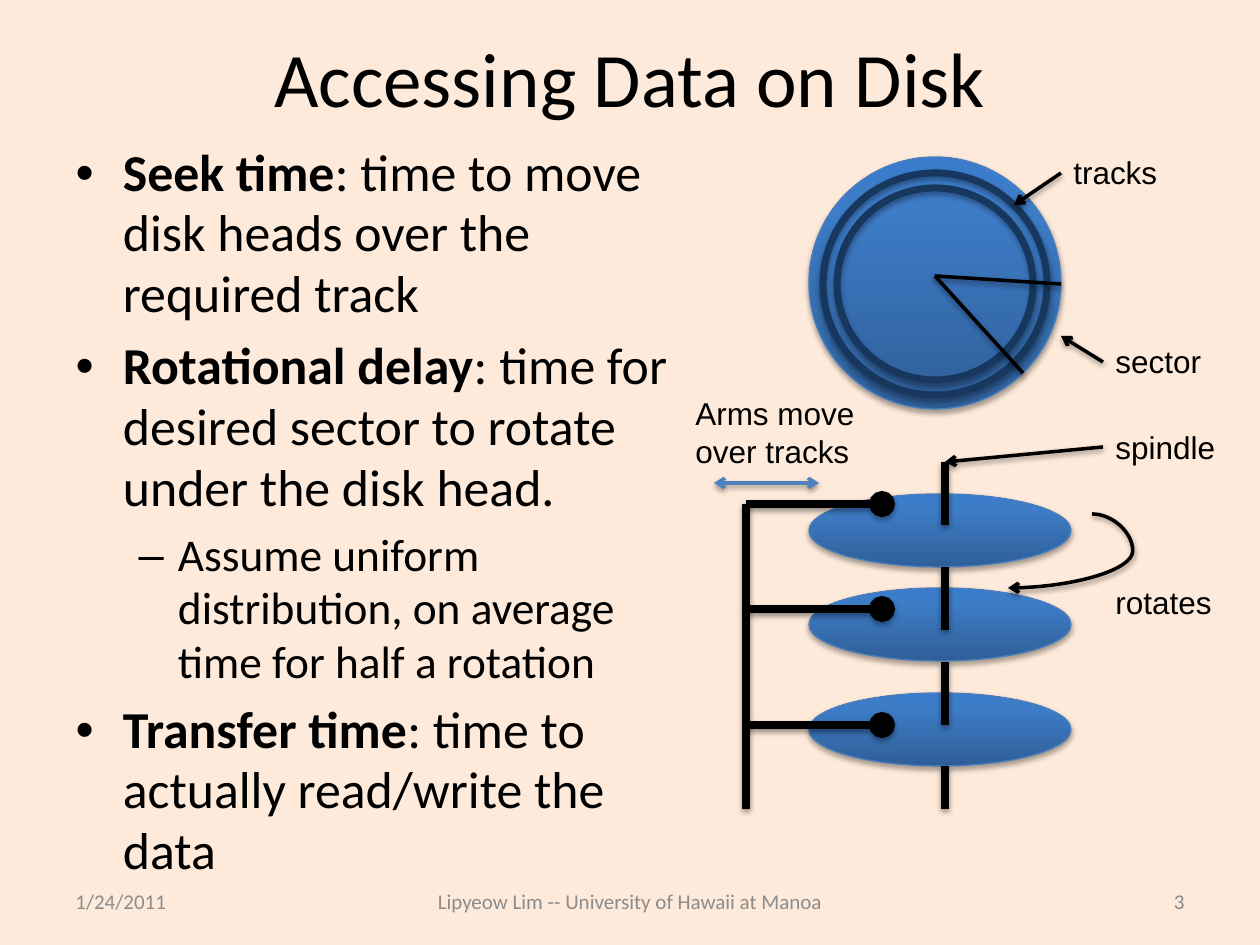
from lxml import etree
from pptx import Presentation
from pptx.dml.color import RGBColor
from pptx.enum.shapes import MSO_CONNECTOR, MSO_SHAPE
from pptx.enum.text import MSO_ANCHOR, MSO_AUTO_SIZE, PP_ALIGN
from pptx.oxml import parse_xml
from pptx.oxml.ns import nsdecls, qn
from pptx.util import Pt

STRAIGHT, CURVE = MSO_CONNECTOR.STRAIGHT, MSO_CONNECTOR.CURVE
OVAL = MSO_SHAPE.OVAL
LEFT, CENTER, RIGHT = PP_ALIGN.LEFT, PP_ALIGN.CENTER, PP_ALIGN.RIGHT
TOP, MIDDLE = MSO_ANCHOR.TOP, MSO_ANCHOR.MIDDLE
NO_FIT = MSO_AUTO_SIZE.NONE

PX_PER_INCH = 126
COLORS = {
    "page": "FDEADA", "ink": "000000", "footer": "8C8C8C", "number": "898989",
    "disk_dark": "2F5F99", "disk_mid": "3D7CC7", "disk_light": "3A7CCB",
    "rim": "4B7EBC", "track": "17375E", "motion": "4F81BD",
}
BODY = [  # level, bold lead, rest
    (0, "Seek time", ": time to move disk heads over the required track"),
    (0, "Rotational delay", ": time for desired sector to rotate under the disk head."),
    (1, "", "Assume uniform distribution, on average time for half a rotation"),
    (0, "Transfer time", ": time to actually read/write the data"),
]
BODY_SIZES = (29.6, 25.9)


def px(*lengths):
    return [round(length * 914400 / PX_PER_INCH) for length in lengths]


def rgb(name):
    return RGBColor.from_string(COLORS[name])


def format_font(font, name, size, color="ink", bold=False):
    for key, value in {"name": name, "size": Pt(size), "bold": bold}.items():
        setattr(font, key, value)
    font.color.rgb = rgb(color)


def place(shape, *box):
    for key, value in zip(("left", "top", "width", "height"), px(*box)):
        setattr(shape, key, value)


def add_shadow(shape, distance, opacity):
    shape._element.spPr.append(parse_xml(
        f'<a:effectLst {nsdecls("a")}><a:outerShdw blurRad="40000" dist="{distance}" '
        f'dir="5400000" rotWithShape="0"><a:srgbClr val="{COLORS["ink"]}">'
        f'<a:alpha val="{opacity * 1000}"/></a:srgbClr></a:outerShdw></a:effectLst>'))


def add_ring(page, box, color="track", width=4):
    ring = page.shapes.add_shape(OVAL, *px(*box))
    ring.fill.background()
    ring.line.color.rgb = rgb(color)
    ring.line.width = Pt(width)
    add_shadow(ring, 23000, 35)
    return ring


def add_disk(page, box):
    properties = add_ring(page, box, "rim", 0.75)._element.spPr
    stops = "".join(
        f'<a:gs pos="{position * 1000}"><a:srgbClr val="{COLORS[name]}"/></a:gs>'
        for position, name in ((0, "disk_dark"), (80, "disk_mid"), (100, "disk_light")))
    properties.replace(properties.find(qn("a:noFill")), parse_xml(
        f'<a:gradFill {nsdecls("a")} rotWithShape="1"><a:gsLst>{stops}</a:gsLst>'
        '<a:lin ang="16200000" scaled="0"/></a:gradFill>'))


def add_line(page, ends, width=2, color="ink", head=None, tail=None, kind=STRAIGHT):
    line = page.shapes.add_connector(kind, *px(*ends))
    line.line.color.rgb = rgb(color)
    line.line.width = Pt(width)
    for tag, end in (("a:headEnd", head), ("a:tailEnd", tail)):
        if end:
            etree.SubElement(line.line._ln, qn(tag), type=end)
    add_shadow(line, 20000, 38)
    return line


def add_text(page, box, lines, font="Arial", size=18, color="ink",
             align=LEFT, anchor=TOP, wrap=False):
    frame = page.shapes.add_textbox(*px(*box)).text_frame
    frame.word_wrap = wrap
    frame.vertical_anchor = anchor
    for index, line in enumerate(lines):
        para = frame.add_paragraph() if index else frame.paragraphs[0]
        para.alignment = align
        span = para.add_run()
        span.text = line
        format_font(span.font, font, size, color)


def fill_title(title):
    place(title, 63, 38, 1134, 78)
    title.text_frame.text = "Accessing Data on Disk"
    title.text_frame.vertical_anchor = MIDDLE
    para = title.text_frame.paragraphs[0]
    para.alignment = CENTER
    format_font(para.runs[0].font, "Calibri", 44)


def fill_body(body):
    place(body, 63, 136, 630, 735)
    frame = body.text_frame
    frame.auto_size = NO_FIT
    for index, (level, lead, rest) in enumerate(BODY):
        para = frame.add_paragraph() if index else frame.paragraphs[0]
        para.level = level
        para.line_spacing = 0.98
        para.space_before = Pt(6 if index else 0)
        for text, bold in ((lead, True), (rest, False)):
            if text:
                span = para.add_run()
                span.text = text
                format_font(span.font, "Calibri", BODY_SIZES[level], bold=bold)


def add_footer(page):
    for left, width, text, color, align in (
            (63, 294, "1/24/2011", "footer", LEFT),
            (378, 504, "Lipyeow Lim -- University of Hawaii at Manoa", "footer", CENTER),
            (903, 294, "3", "number", RIGHT)):
        add_text(page, (left, 876, width, 50), [text], "Calibri", 12, color,
                 align, MIDDLE, True)


def add_top_view(page):
    # Platter seen from above, with two tracks and one sector
    add_disk(page, (809, 157, 252, 252))
    add_ring(page, (837, 188, 196, 192))
    add_ring(page, (823, 173, 224, 222))
    for edge in ((1061, 284), (1023, 373)):
        add_line(page, (935, 276, *edge))
    add_line(page, (1061, 173, 1014, 205), tail="arrow")
    add_line(page, (1103, 362, 1061, 336), tail="arrow")


def add_side_view(page):
    # Stack of platters
    for top in (494, 588, 693):
        add_disk(page, (809, top, 262, 73))
    # Spindle pieces and arm post
    for top, bottom in ((462, 525), (567, 630), (662, 725), (766, 809)):
        add_line(page, (945, top, 945, bottom), 5)
    add_line(page, (746, 504, 746, 809), 5)
    # Arms with their heads
    for y in (504, 609, 725):
        add_line(page, (746, y, 882, y), 5, tail="oval")
    # Spindle pointer, rotation and arm movement
    add_line(page, (1103, 447, 945, 462), tail="arrow")
    rotation = add_line(page, (1008, 588, 1092, 514), tail="arrow", kind=CURVE)
    rotation._element.spPr.find(qn("a:xfrm")).set("rot", "10800000")
    guides = rotation._element.spPr.prstGeom.get_or_add_avLst()
    etree.SubElement(guides, qn("a:gd"), name="adj1", fmla="val -48600")
    add_line(page, (714, 483, 819, 483), color="motion", head="arrow", tail="arrow")


def add_labels(page):
    for left, top, width, height, *lines in (
            (1103, 336, 112, 50, "sector"),
            (1061, 147, 111, 50, "tracks"),
            (1103, 422, 126, 50, "spindle"),
            (1103, 577, 122, 50, "rotates"),
            (683, 388, 188, 89, "Arms move", "over tracks")):
        add_text(page, (left, top, width, height), lines)


def main():
    deck = Presentation()
    deck.slide_width, deck.slide_height = px(1260, 945)
    page = deck.slides.add_slide(deck.slide_layouts[1])
    page.background.fill.solid()
    page.background.fill.fore_color.rgb = rgb("page")
    fill_title(page.shapes.title)
    fill_body(page.placeholders[1])
    add_footer(page)
    add_top_view(page)
    add_side_view(page)
    add_labels(page)
    deck.save("out.pptx")


if __name__ == "__main__":
    main()
